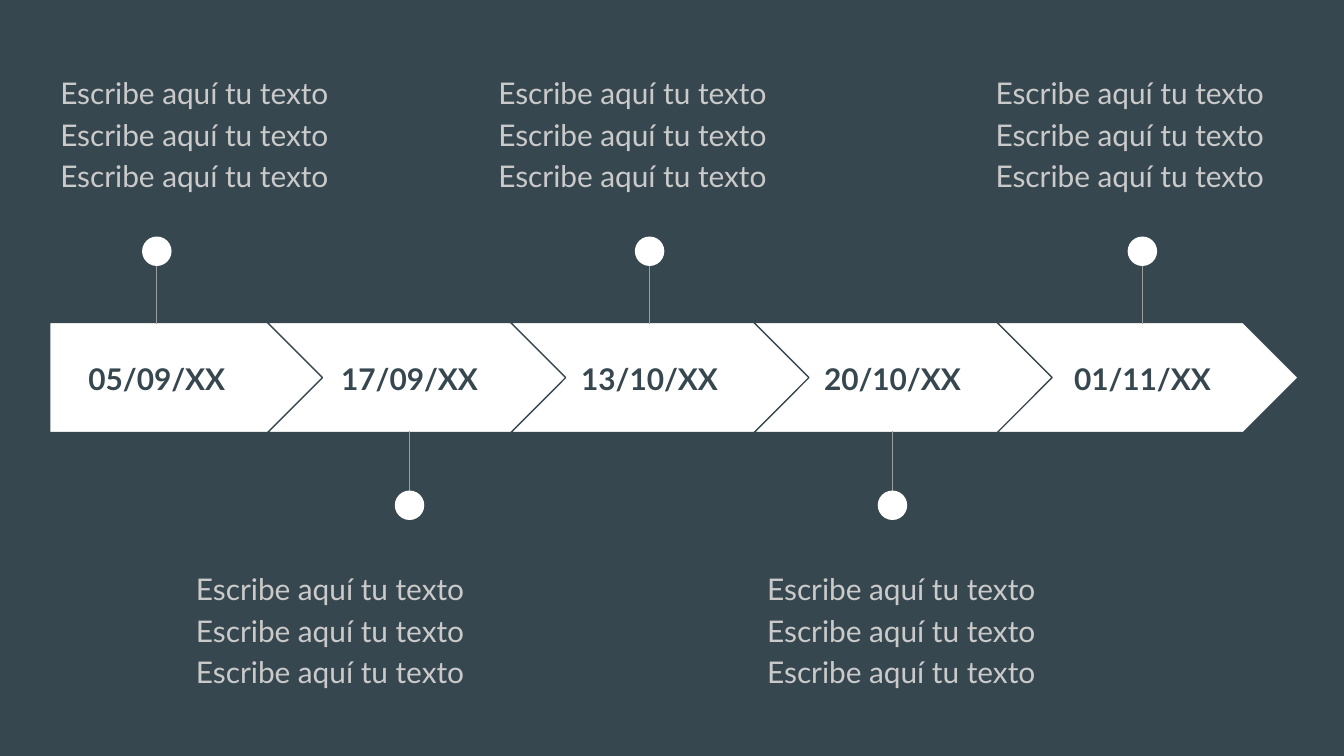
from dataclasses import dataclass

from lxml import etree
from pptx import Presentation
from pptx.dml.color import RGBColor
from pptx.enum import shapes, text
from pptx.oxml import ns
from pptx.util import Pt

SLATE = RGBColor(0x37, 0x47, 0x4F)
WHITE = RGBColor(0xFF, 0xFF, 0xFF)
STEM_GRAY = RGBColor(0x9E, 0x9E, 0x9E)
NOTE_GRAY = RGBColor(0xCA, 0xCA, 0xCA)

FONT = "Lato"
NOTE = " ".join(["Escribe aquí tu texto"] * 3)

BAND_TOP, BAND_HEIGHT = 172.8, 59
FIRST_LEFT, FIRST_WIDTH = 26.6, 147.6
CHEVRON_LEFT, CHEVRON_WIDTH, CHEVRON_STEP = 143.3, 161.3, 130.3
DOT_SIZE = 15.8


@dataclass
class Milestone:
    date: str
    center: float
    note_left: float


@dataclass
class Side:
    stem_start: float
    stem_end: float
    dot_top: float
    note_top: float


MILESTONES = [
    Milestone("05/09/XX", 84, 25.2),
    Milestone("17/09/XX", 219.4, 97.9),
    Milestone("13/10/XX", 348, 259.9),
    Milestone("20/10/XX", 478.1, 403.9),
    Milestone("01/11/XX", 612, 526.3),
]
ABOVE = Side(129.6, 173.5, 126.7, 30.2)
BELOW = Side(275, 231.1, 262.8, 295.9)


def add_text(slide, content, left, top, width, height, *, color, bold=False,
             align=text.PP_ALIGN.LEFT, anchor=text.MSO_ANCHOR.TOP,
             line_spacing=1, space_after=0):
    box = slide.shapes.add_textbox(Pt(left), Pt(top), Pt(width), Pt(height))
    frame = box.text_frame
    frame.word_wrap = True
    frame.vertical_anchor = anchor
    frame.margin_left = frame.margin_right = Pt(7.2)
    frame.margin_top = frame.margin_bottom = Pt(7.2)
    paragraph = frame.paragraphs[0]
    paragraph.alignment = align
    paragraph.line_spacing = line_spacing
    paragraph.space_after = Pt(space_after)
    run = paragraph.add_run()
    run.text = content
    run.font.name = FONT
    run.font.size = Pt(16)
    run.font.bold = bold
    run.font.color.rgb = color


def add_white_shape(slide, kind, left, top, width, height):
    shape = slide.shapes.add_shape(kind, Pt(left), Pt(top), Pt(width), Pt(height))
    shape.shadow.inherit = False
    shape.fill.solid()
    shape.fill.fore_color.rgb = WHITE
    shape.line.fill.background()
    return shape


def add_band_segment(slide, index):
    if index == 0:
        kind, left, width = shapes.MSO_SHAPE.PENTAGON, FIRST_LEFT, FIRST_WIDTH
    else:
        kind, width = shapes.MSO_SHAPE.CHEVRON, CHEVRON_WIDTH
        left = CHEVRON_LEFT + (index - 1) * CHEVRON_STEP
    segment = add_white_shape(slide, kind, left, BAND_TOP, width, BAND_HEIGHT)
    segment.adjustments[0] = 0.5
    segment.line.color.rgb = SLATE
    segment.line.width = Pt(0.75)


def add_pin(slide, center, side):
    stem = slide.shapes.add_connector(
        shapes.MSO_CONNECTOR.STRAIGHT,
        Pt(center), Pt(side.stem_start), Pt(center), Pt(side.stem_end))
    stem.line.color.rgb = STEM_GRAY
    stem.line.width = Pt(0.75)
    etree.SubElement(stem._element.spPr, ns.qn("a:effectLst"))
    add_white_shape(slide, shapes.MSO_SHAPE.OVAL, center - DOT_SIZE / 2,
                    side.dot_top, DOT_SIZE, DOT_SIZE)


def add_milestone(slide, index, milestone):
    side = BELOW if index % 2 else ABOVE
    date_width = 104 if index else 114.5
    add_band_segment(slide, index)
    add_text(slide, milestone.date, milestone.center - date_width / 2, 184.3,
             date_width, 36.7, color=SLATE, bold=True,
             align=text.PP_ALIGN.CENTER, anchor=text.MSO_ANCHOR.MIDDLE)
    add_pin(slide, milestone.center, side)
    add_text(slide, NOTE, milestone.note_left, side.note_top, 176.4, 71.3,
             color=NOTE_GRAY, line_spacing=1.15, space_after=16)


def main():
    presentation = Presentation()
    presentation.slide_width, presentation.slide_height = Pt(720), Pt(405)
    slide = presentation.slides.add_slide(presentation.slide_layouts[6])
    slide.background.fill.solid()
    slide.background.fill.fore_color.rgb = SLATE
    for index, milestone in enumerate(MILESTONES):
        add_milestone(slide, index, milestone)
    presentation.save("out.pptx")


if __name__ == "__main__":
    main()
